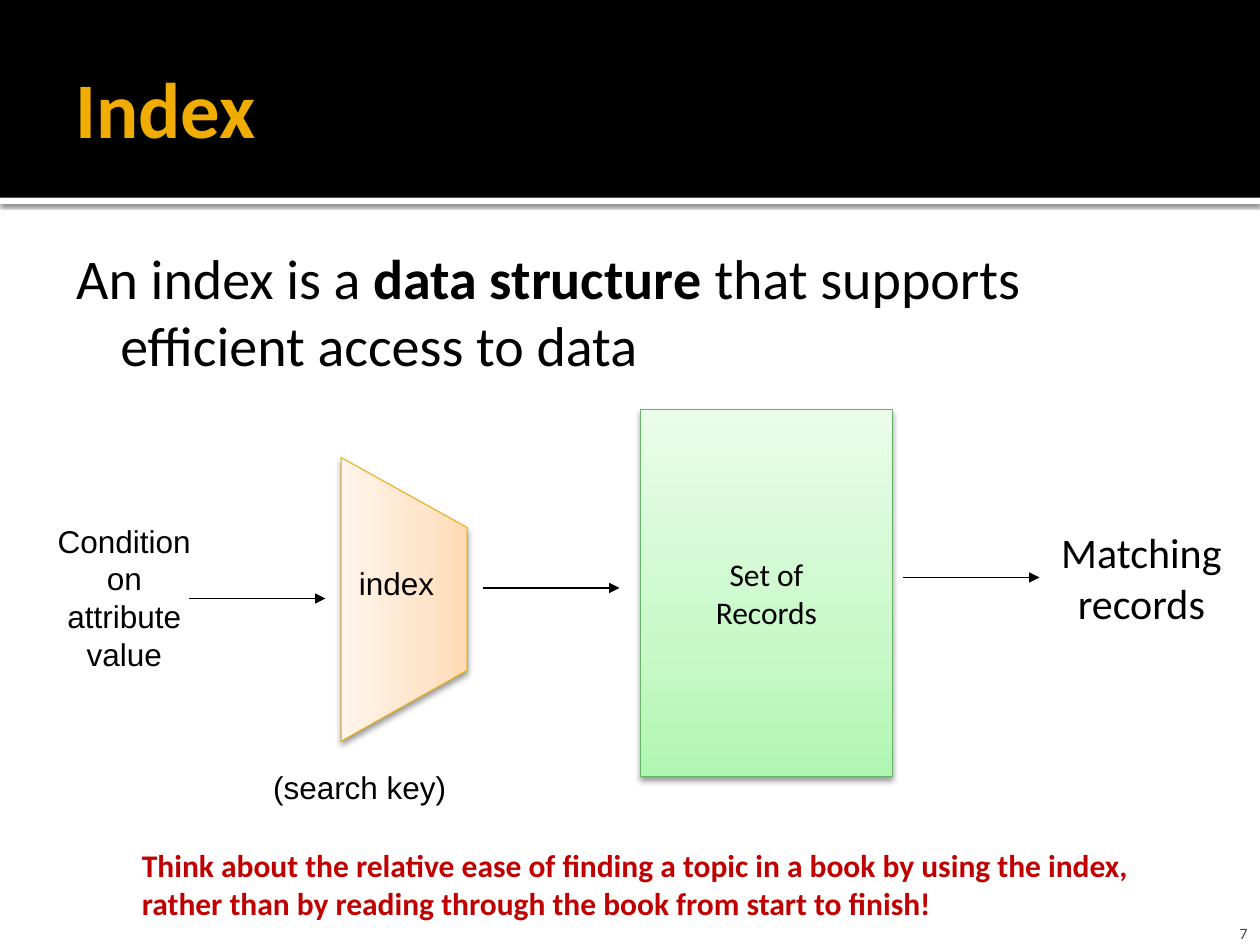
from lxml import etree
from pptx import Presentation
from pptx.dml.color import RGBColor
from pptx.enum.shapes import MSO_CONNECTOR, MSO_SHAPE
from pptx.enum.text import MSO_ANCHOR as Anchor, PP_ALIGN as Align
from pptx.oxml import parse_xml
from pptx.oxml.ns import nsdecls, qn
from pptx.util import Pt

BLACK = RGBColor(0, 0, 0)
WHITE = RGBColor(255, 255, 255)
GOLD = RGBColor(0xF0, 0xAD, 0x00)
AMBER = RGBColor(0xEB, 0xA9, 0x00)
GREEN = RGBColor(0x67, 0xB5, 0x69)
RED = RGBColor(0xC0, 0, 0)
GREY = RGBColor(0x45, 0x45, 0x45)
ORANGE_TINTS = [RGBColor(0xFF, 0xF5, 0xEB), RGBColor(0xFF, 0xE5, 0xCB), RGBColor(0xFF, 0xDB, 0xB5)]
GREEN_TINTS = [RGBColor(0xE9, 0xFD, 0xE9), RGBColor(0xC8, 0xF8, 0xC8), RGBColor(0xB0, 0xF6, 0xB1)]
TINT_STOPS = [0, 65, 100]

TITLE = [("Index", True)]
DEFINITION = [("An index is a ", False), ("data structure ", True),
              ("that supports efficient access to data", False)]
ADVICE = [("Think about the relative ease of finding a topic in a book by using the index, "
           "rather than by reading through the book from start to finish!", True)]
RECORDS = [("Set of\nRecords", False)]
PAGE = [("7", False)]
LABELS = [
    ("index", (198, 318.5, 67.5, 36), 18, "Arial", Align.LEFT),
    ("Condition\non\nattribute\nvalue", (16, 294.5, 110, 122.5), 18, "Arial", Align.CENTER),
    ("Matching\nrecords", (595.5, 297.5, 113.5, 65.5), 24, "Calibri", Align.CENTER),
    ("(search key)", (149, 435.5, 132.5, 36), 18, "Arial", Align.LEFT),
]
FUNNEL = [(195, 423.5), (267, 383), (267, 301.5), (195, 261.5)]
ARROW_LENGTH = 78
ARROW_STARTS = [(108, 342), (276, 336), (516, 330)]

deck = Presentation()
deck.slide_width, deck.slide_height = Pt(720), Pt(540)
slide = deck.slides.add_slide(deck.slide_layouts[6])
shapes = slide.shapes


def write(frame, runs, size, font, color, align=Align.LEFT, anchor=Anchor.TOP,
          wrap=True, insets=(7.2, 3.6, 7.2, 3.6)):
    frame.word_wrap = wrap
    frame.vertical_anchor = anchor
    (frame.margin_left, frame.margin_top,
     frame.margin_right, frame.margin_bottom) = map(Pt, insets)
    paragraph = frame.paragraphs[0]
    paragraph.alignment = align
    for text, bold in runs:
        for number, line in enumerate(text.split("\n")):
            if number:
                paragraph.add_line_break()
            run = paragraph.add_run()
            run.text = line
            run.font.size, run.font.name, run.font.bold = Pt(size), font, bold
            run.font.color.rgb = color
    return paragraph


def add_text(box, *args, **options):
    return write(shapes.add_textbox(*map(Pt, box)).text_frame, *args, **options)


def add_band(box, color):
    band = shapes.add_shape(MSO_SHAPE.RECTANGLE, *map(Pt, box))
    band.shadow.inherit = False
    band.fill.solid()
    band.fill.fore_color.rgb = color
    band.line.fill.background()
    return band


def cast_shadow(shape, opacity, blur, distance):
    shape.shadow.inherit = False
    effects = shape._element.spPr.find(qn("a:effectLst"))
    effects.append(parse_xml(
        f'<a:outerShdw {nsdecls("a")} blurRad="{Pt(blur)}" dist="{Pt(distance)}" '
        f'dir="5400000" rotWithShape="0"><a:srgbClr val="000000">'
        f'<a:alpha val="{opacity * 1000}"/></a:srgbClr></a:outerShdw>'))


def tint(shape, tints, degrees, outline):
    shape.fill.gradient()
    gradient = shape._element.spPr.find(qn("a:gradFill"))
    stops = "".join(f'<a:gs pos="{stop * 1000}"><a:srgbClr val="{color}"/></a:gs>'
                    for stop, color in zip(TINT_STOPS, tints))
    gradient.getparent().replace(gradient, parse_xml(
        f'<a:gradFill {nsdecls("a")} rotWithShape="1"><a:gsLst>{stops}</a:gsLst>'
        f'<a:lin ang="{degrees * 60000}" scaled="0"/></a:gradFill>'))
    shape.line.color.rgb = outline
    shape.line.width = Pt(0.5)
    cast_shadow(shape, 38, 3.5, 2)


def add_arrow(x, y):
    arrow = shapes.add_connector(MSO_CONNECTOR.STRAIGHT, Pt(x), Pt(y), Pt(x + ARROW_LENGTH), Pt(y))
    arrow.line.color.rgb = BLACK
    arrow.line.width = Pt(0.75)
    etree.SubElement(arrow.line._get_or_add_ln(), qn("a:tailEnd"), type="triangle")
    etree.SubElement(arrow._element.spPr, qn("a:effectLst"))


cast_shadow(add_band((0, 113, 720, 3.6), WHITE), 60, 2.5, 0.8)
add_band((0, 0, 720, 113), BLACK)
add_text((662.5, 517, 57.5, 21.5), PAGE, 9, "Calibri", GREY, Align.RIGHT,
         Anchor.BOTTOM, insets=(7.2, 3.6, 7.2, 0))
add_text((36, 12, 648, 98.5), TITLE, 45, "Calibri", GOLD, anchor=Anchor.MIDDLE,
         insets=(7.2, 3.6, 3.6, 3.6))
definition = add_text((30, 132, 654, 372), DEFINITION, 32, "Calibri", BLACK,
                      insets=(4.32, 7.2, 7.2, 3.6))
definition.space_before = Pt(6)
indents = definition._p.get_or_add_pPr()
indents.set("marL", str(Pt(34.5)))
indents.set("indent", str(Pt(-25.2)))

builder = shapes.build_freeform(Pt(FUNNEL[0][0]), Pt(FUNNEL[0][1]))
builder.add_line_segments([(Pt(x), Pt(y)) for x, y in FUNNEL[1:]], close=True)
tint(builder.convert_to_shape(), ORANGE_TINTS, 0, AMBER)

records = shapes.add_shape(MSO_SHAPE.RECTANGLE, Pt(366), Pt(234), Pt(144), Pt(210))
tint(records, GREEN_TINTS, 90, GREEN)
write(records.text_frame, RECORDS, 18, "Calibri", BLACK, Align.CENTER, Anchor.MIDDLE, wrap=False)

for label, box, size, font, align in LABELS:
    add_text(box, [(label, False)], size, font, BLACK, align, wrap=False)
for start in ARROW_STARTS:
    add_arrow(*start)
add_text((74, 480, 612, 51), ADVICE, 18, "Calibri", RED)

deck.save("out.pptx")
